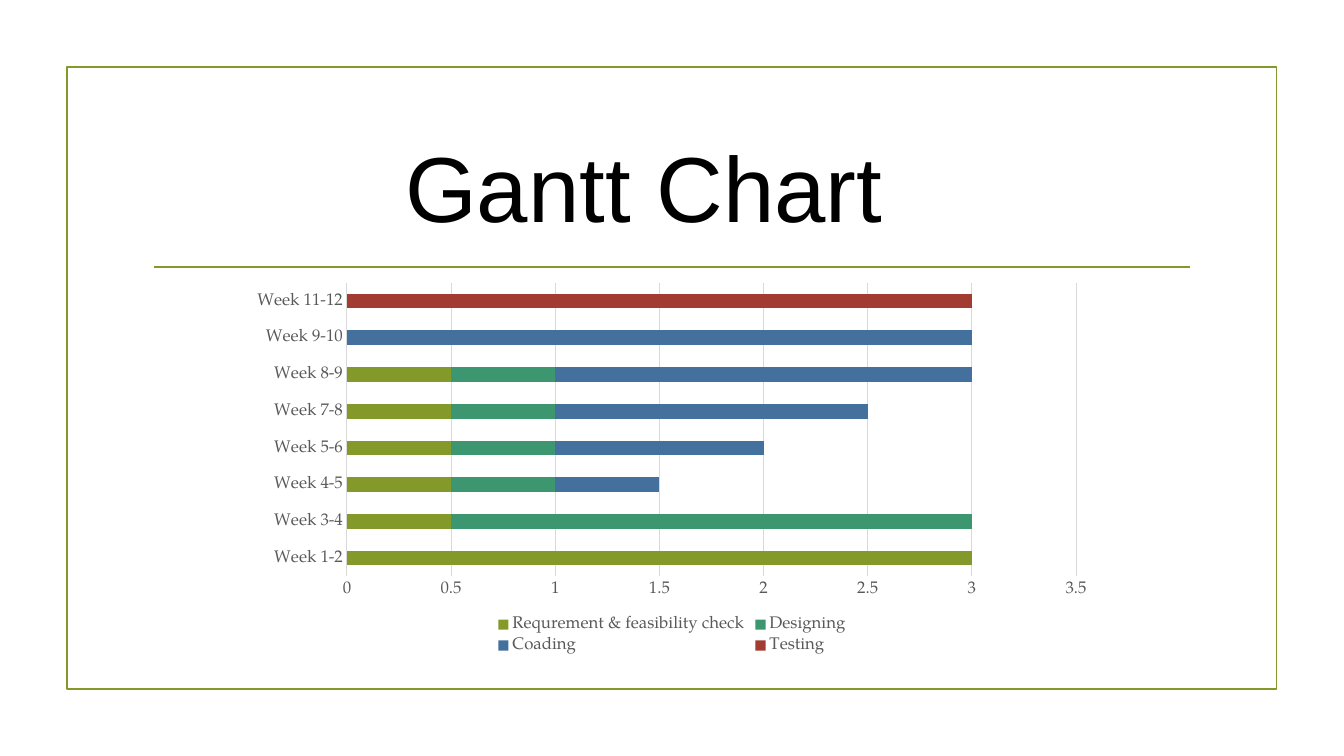
from pptx import Presentation
from pptx.chart.data import CategoryChartData as Data
from pptx.dml.color import RGBColor as Rgb
from pptx.enum.chart import XL_CHART_TYPE as Kind, XL_LEGEND_POSITION as Side, XL_TICK_MARK as Tick
from pptx.enum.shapes import MSO_CONNECTOR as Link, MSO_SHAPE as Shape
from pptx.oxml.ns import qn
from pptx.util import Cm, Pt

HUES = {"olive": "83992A", "green": "3C9770", "blue": "44709D", "red": "A23C33",
        "grey": "595959", "grid": "D9D9D9", "black": "000000"}
SERIF = "TeX Gyre Pagella"
TITLE = "Gantt Chart"
WEEKS = ["1-2", "3-4", "4-5", "5-6", "7-8", "8-9", "9-10", "11-12"]
TASKS = [
    ("Requrement & feasibility check", "olive", [3, 0.5, 0.5, 0.5, 0.5, 0.5, None, None]),
    ("Designing", "green", [None, 2.5, 0.5, 0.5, 0.5, 0.5, None, None]),
    ("Coading", "blue", [None, None, 0.5, 1, 1.5, 2, 3, None]),
    ("Testing", "red", [None] * 7 + [3]),
]


def hue(name):
    return Rgb.from_string(HUES[name])


def style(font, size=12, color="grey", face=SERIF):
    font.size = Pt(size)
    font.name = face
    font.color.rgb = hue(color)


def stroke(line, color, width):
    line.color.rgb = hue(color)
    line.width = Pt(width)


def write(slide, text, box, **form):
    frame = slide.shapes.add_textbox(*map(Cm, box)).text_frame
    frame.word_wrap = True
    run = frame.paragraphs[0].add_run()
    run.text = text
    style(run.font, **form)


def draw(slide, box):
    data = Data()
    data.categories = [f"Week {week}" for week in WEEKS]
    for name, _, vals in TASKS:
        data.add_series(name, vals)
    chart = slide.shapes.add_chart(Kind.BAR_STACKED, *map(Cm, box), data).chart
    style(chart.font, size=10, color="black")
    chart.has_title = False
    chart.has_legend = True
    chart.legend.position = Side.BOTTOM
    chart.legend.include_in_layout = False
    style(chart.legend.font)
    plot = chart.plots[0]
    plot.gap_width, plot.overlap = 150, 100
    plot.vary_by_categories = False
    for bar, (_, color, _) in zip(plot.series, TASKS):
        bar.format.fill.solid()
        bar.format.fill.fore_color.rgb = hue(color)
    for axis in (chart.category_axis, chart.value_axis):
        axis.major_tick_mark = axis.minor_tick_mark = Tick.NONE
        style(axis.tick_labels.font)
    stroke(chart.category_axis.format.line, "grid", 0.75)
    scale = chart.value_axis
    scale.minimum_scale, scale.maximum_scale, scale.major_unit = 0, 3.5, 0.5
    scale.format.line.fill.background()
    scale.has_major_gridlines = True
    stroke(scale.major_gridlines.format.line, "grid", 0.75)


deck = Presentation()
deck.slide_width, deck.slide_height = Cm(33.87), Cm(19.05)
slide = deck.slides.add_slide(deck.slide_layouts[6])

frame = slide.shapes.add_shape(Shape.RECTANGLE, Cm(1.69), Cm(1.69), Cm(30.48), Cm(15.68))
frame.shadow.inherit = False
frame.fill.background()
stroke(frame.line, "olive", 1.25)

rule = slide.shapes.add_connector(Link.STRAIGHT, Cm(3.89), Cm(6.73), Cm(30), Cm(6.73))
stroke(rule.line, "olive", 1.25)
props = rule._element.spPr
props.append(props.makeelement(qn("a:effectLst"), {}))

write(slide, TITLE, (9.96, 3.15, 13.94, 3.07), size=66, color="black", face="Arial")
draw(slide, (6.05, 6.93, 21.77, 9.65))
deck.save("out.pptx")
